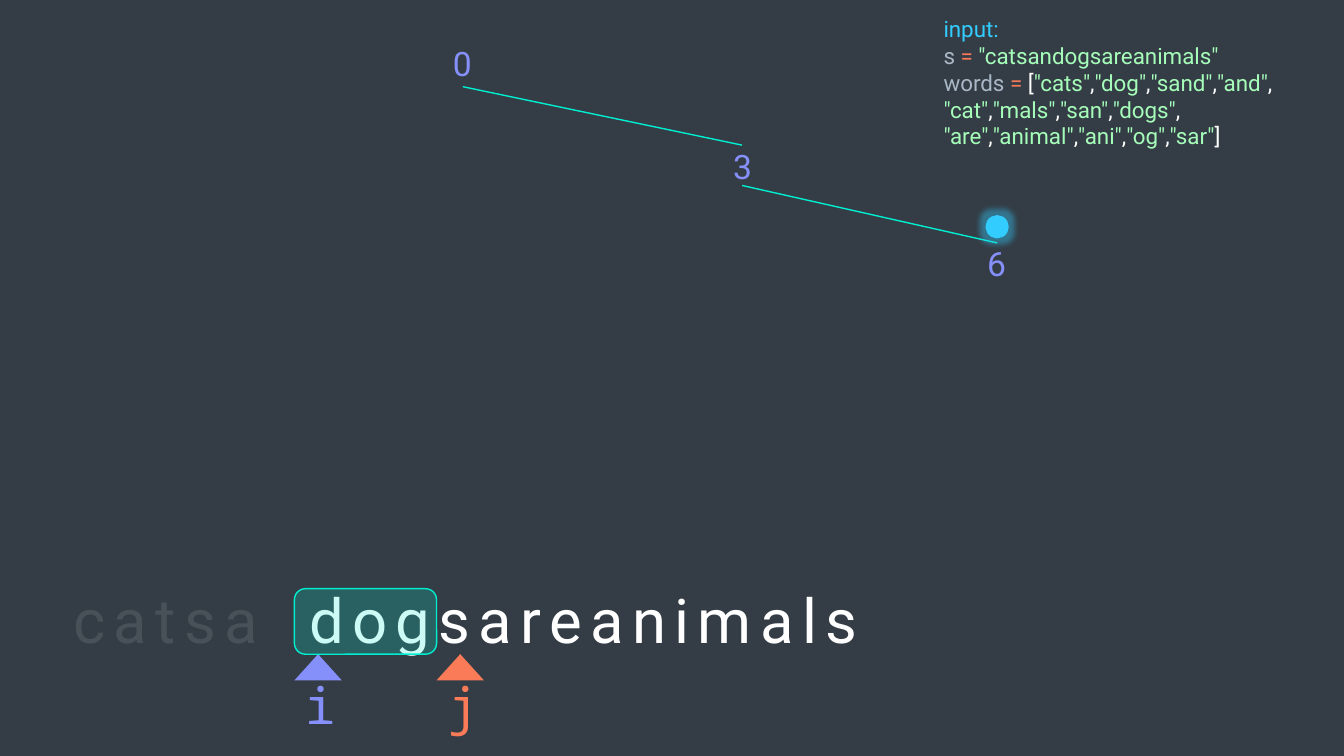
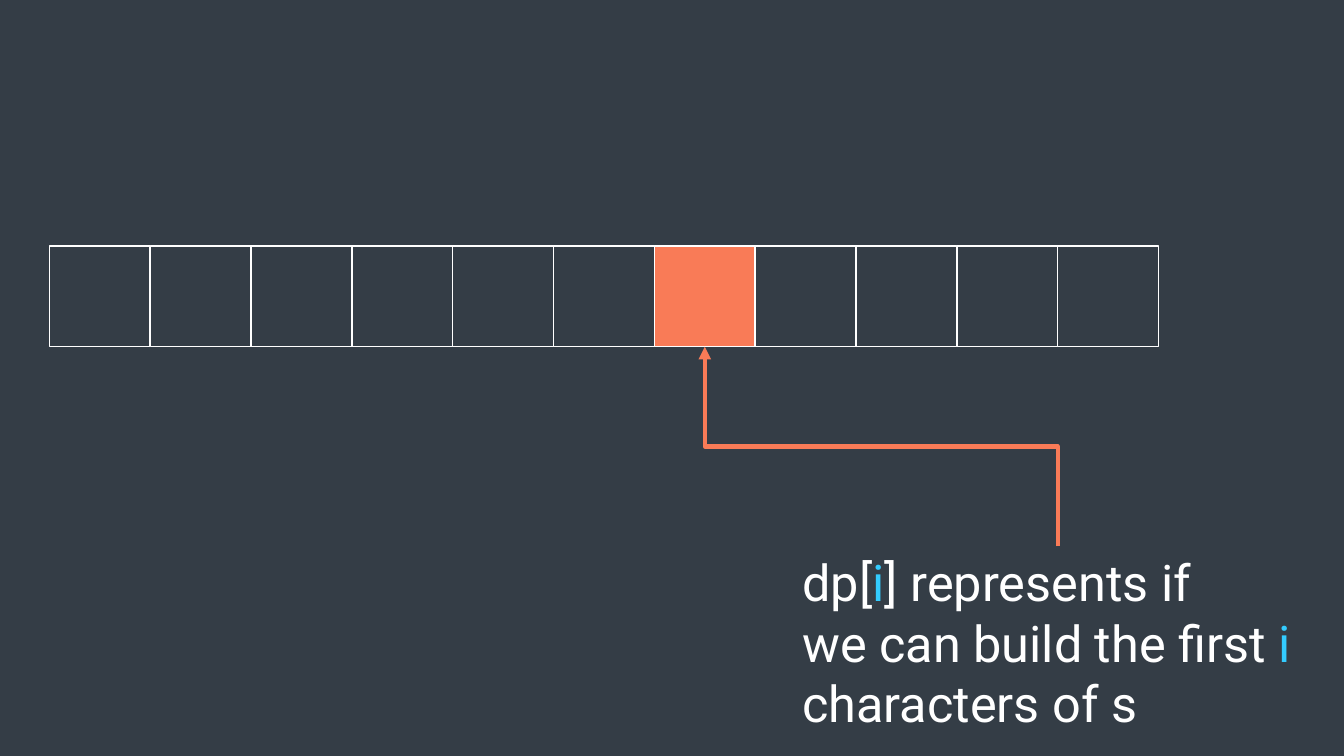
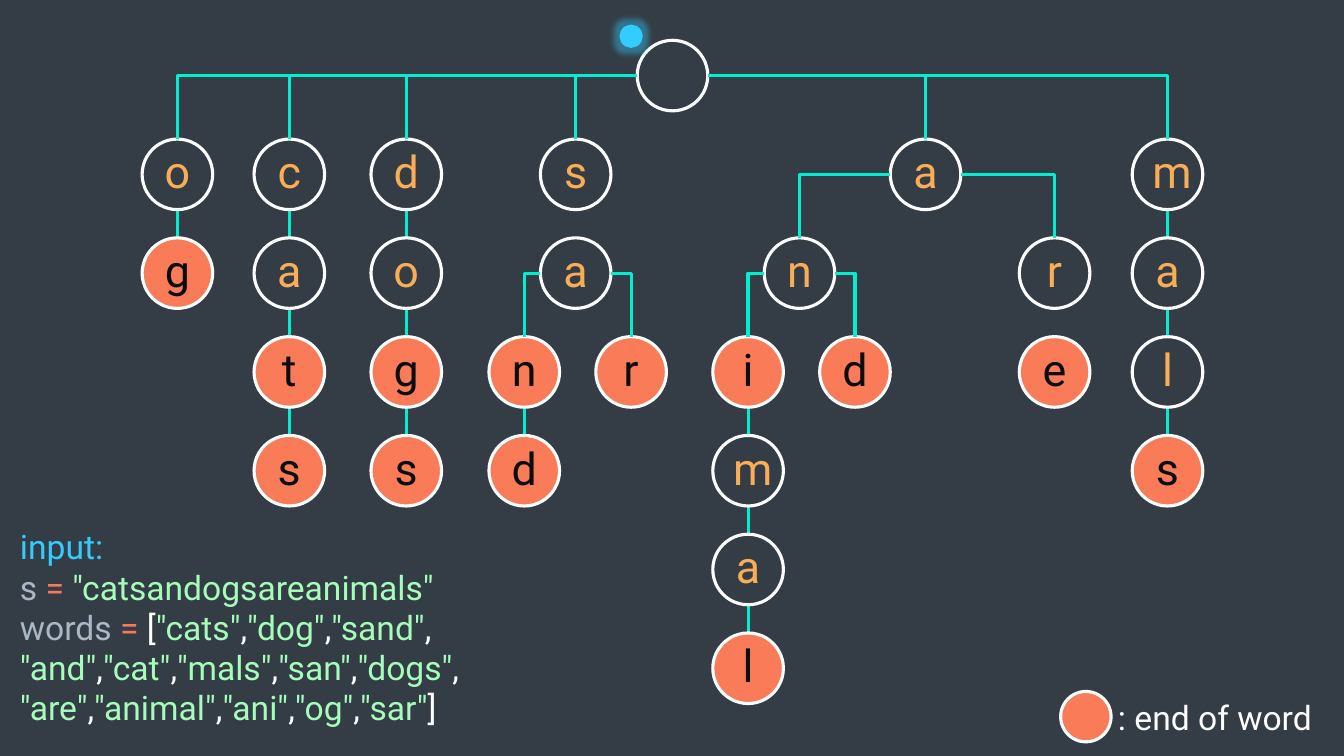
from lxml.etree import SubElement
from pptx import Presentation
from pptx.dml.color import RGBColor
from pptx.enum.shapes import MSO_CONNECTOR as Link, MSO_SHAPE as Form
from pptx.enum.text import MSO_ANCHOR as Anchor, MSO_AUTO_SIZE as Auto, PP_ALIGN as Align
from pptx.oxml.ns import qn
from pptx.util import Inches, Pt

DARK, WHITE, BLACK = "343D46", "FFFFFF", "0B0C0C"
TEAL, BLUE, VIOLET = "00EFD1", "33CCFF", "8690FA"
CORAL, RED, AMBER = "F97B57", "F97A57", "F9AD57"
GREY, MINT = "A9B7C6", "A5FDB9"
SANS, MONO = "Roboto", "Noto Sans Mono"
LEFT, RIGHT, TOP = 2, 6, 0  # connection sites of an ellipse
NODE, STEP, ROOT_Y = 0.7, 0.98, 0.4


def rgb(code):
    return RGBColor.from_string(code)


def fade(node, share):
    """Give the first colour inside an XML node an opacity in percent."""
    tone = next(node.iter(qn("a:srgbClr")))
    SubElement(tone, qn("a:alpha"), val=str(share * 1000))


def glue(line, tag, shape, site):
    """Tie one end of a connector to a site without moving it."""
    ends = next(line.element.iter(qn("p:cNvCxnSpPr")))
    SubElement(ends, qn("a:" + tag), id=str(shape.shape_id), idx=str(site))


def write(frame, lines, size=24, font=SANS, color=WHITE, align=None, gap=0,
          inset=None, anchor=None):
    """Fill a frame; a line is a string or a list of (text, colour[, opacity])."""
    frame.word_wrap = True
    if inset:
        (frame.margin_left, frame.margin_top,
         frame.margin_right, frame.margin_bottom) = map(Inches, inset)
    if anchor is not None:
        frame.vertical_anchor = anchor
    for n, line in enumerate(lines):
        para = frame.add_paragraph() if n else frame.paragraphs[0]
        para.alignment = align
        parts = [(line, color)] if isinstance(line, str) else line
        for words, tint, *share in parts:
            run = para.add_run()
            run.text = words
            run.font.size, run.font.name = Pt(size), font
            run.font.color.rgb = rgb(tint)
            props = run.font._element
            if gap:
                props.set("spc", str(gap * 100))
            if share:
                fade(props, share[0])


class Deck:
    def __init__(self):
        self.prs = Presentation()
        self.prs.slide_width, self.prs.slide_height = Inches(13.33), Inches(7.5)
        back = self.prs.slide_master.background.fill
        back.solid()
        back.fore_color.rgb = rgb(DARK)

    def page(self):
        self.shapes = self.prs.slides.add_slide(self.prs.slide_layouts[6]).shapes

    def text(self, x, y, w, h, lines, **style):
        box = self.shapes.add_textbox(*map(Inches, (x, y, w, h)))
        write(box.text_frame, lines, **style)
        box.text_frame.auto_size = Auto.SHAPE_TO_FIT_TEXT
        return box

    def shape(self, form, x, y, w, h, fill, edge=None, width=1):
        item = self.shapes.add_shape(form, *map(Inches, (x, y, w, h)))
        item.shadow.inherit = False
        item.fill.solid()
        item.fill.fore_color.rgb = rgb(fill)
        if edge:
            item.line.color.rgb = rgb(edge)
            item.line.width = Pt(width)
        else:
            item.line.fill.background()
        return item

    def line(self, x1, y1, x2, y2, color=TEAL, width=2.25, kind=Link.STRAIGHT):
        item = self.shapes.add_connector(kind, *map(Inches, (x1, y1, x2, y2)))
        item.line.color.rgb = rgb(color)
        item.line.width = Pt(width)
        SubElement(item.element.spPr, qn("a:effectLst"))
        return item

    def dot(self, x, y):
        """Draw the small glowing marker."""
        item = self.shape(Form.OVAL, x, y, 0.2, 0.2, BLUE, BLUE, 2.25)
        glow = SubElement(item.element.spPr.find(qn("a:effectLst")),
                          qn("a:glow"), rad=str(Pt(8)))
        SubElement(glow, qn("a:srgbClr"), val=BLUE)
        fade(glow, 40)

    def ring(self, x, y, size=NODE, fill=DARK):
        return self.shape(Form.OVAL, x, y, size, size, fill, WHITE, 2.25)

    def node(self, x, row, mark):
        """Draw a letter of the tree; a capital stands for the end of a word."""
        last = mark.isupper()
        item = self.ring(x - NODE / 2, ROOT_Y + STEP * row, fill=CORAL if last else DARK)
        write(item.text_frame, [mark.lower()], size=32, color=BLACK if last else AMBER,
              align=Align.CENTER, anchor=Anchor.MIDDLE, inset=(0.1, 0.05, 0.1, 0.12))
        return item

    def branch(self, above, below):
        """Run an elbow from the side of one node to the top of another."""
        mid = below.left + below.width // 2
        left = mid < above.left
        start = above.left if left else above.left + above.width
        points = start, above.top + above.height // 2, mid, below.top
        item = self.line(*(p / Inches(1) for p in points), kind=Link.ELBOW)
        item.element.spPr.find(qn("a:prstGeom")).set("prst", "bentConnector2")
        glue(item, "stCxn", above, LEFT if left else RIGHT)
        glue(item, "endCxn", below, TOP)

    def index(self, x, name, color):
        """Draw a pointer with its name under the string."""
        tip = self.shape(Form.ISOSCELES_TRIANGLE, x, 6.49, 0.47, 0.26, color)
        label = self.text(x + 0.1, 6.69, 0.33, 0.61, [name], size=36, font=MONO, color=color,
                          align=Align.CENTER, gap=6, inset=(0, 0, 0, 0))
        self.shapes.add_group_shape([tip, label])

    def input(self, x, y, w, h, rows, size):
        """List the input; rows holds the words of each line."""
        lines = [[("input:", BLUE)],
                 [("s ", GREY), ("= ", RED), ('"catsandogsareanimals"', MINT)]]
        for row in rows:
            line = []
            for word in row.split():
                line += [(f'"{word}"', MINT), (",", WHITE)]
            lines.append(line)
        lines[2][:0] = [("words ", GREY), ("= ", RED), ("[", WHITE)]
        lines[-1][-1] = ("]", WHITE)
        self.text(x, y, w, h, lines, size=size)


def search(deck):
    deck.page()
    deck.input(9.26, 0.1, 4.04, 1.45, ["cats dog sand and", "cat mals san dogs",
                                       "are animal ani og sar"], 16)
    deck.line(4.59, 0.86, 7.36, 1.44, width=1)
    deck.line(7.36, 1.84, 9.89, 2.41, width=1)
    for x, y, w, mark in ((3.83, 0.38, 1.51, "0"), (6.61, 1.4, 1.51, "3"),
                          (9.52, 2.36, 0.73, "6")):
        deck.text(x, y, w, 0.5, [mark], color=VIOLET, align=Align.CENTER)
    deck.text(0.22, 5.72, 8.8, 0.84, [[("catsan", WHITE, 10), ("dogsareanimals", WHITE)]],
              size=44, align=Align.CENTER, gap=6)
    deck.index(2.92, "i", VIOLET)
    deck.dot(9.79, 2.15)
    deck.index(4.33, "j", CORAL)
    frame = deck.shape(Form.ROUNDED_RECTANGLE, 2.92, 5.84, 1.41, 0.65, TEAL, TEAL)
    fade(frame.element.spPr, 20)


def table(deck):
    deck.page()
    cells = [deck.shape(Form.RECTANGLE, 0.49 + n, 2.44, 1, 1, CORAL if n == 6 else DARK, WHITE)
             for n in range(11)]
    note = deck.text(7.86, 5.42, 5.25, 1.92, [
        [("dp[", WHITE), ("i", BLUE), ("] represents if", WHITE)],
        [("we can build the first ", WHITE), ("i", BLUE), (" characters of s", WHITE)],
    ], size=36)
    # The elbow is turned so that it leaves and arrives vertically
    arrow = deck.line(7.75, 2.68, 9.73, 6.18, CORAL, 3, Link.ELBOW)
    turn = arrow.element.spPr.find(qn("a:xfrm"))
    turn.set("rot", str(270 * 60000))
    turn.set("flipV", "1")
    SubElement(arrow.element.spPr.find(qn("a:ln")), qn("a:tailEnd"), type="triangle")
    glue(arrow, "stCxn", note, 0)
    glue(arrow, "endCxn", cells[6], 2)


def trie(deck):
    deck.page()
    tips = {"": deck.ring(6.32, ROOT_Y)}
    # prefix, centre, first row, letters, joined by a trunk
    chains = [
        ("", 1.76, 1, "oG", True), ("", 2.87, 1, "caTS", True),
        ("", 4.03, 1, "doGS", True), ("", 5.71, 1, "sa", False),
        ("", 9.18, 1, "a", False), ("", 11.58, 1, "malS", True),
        ("sa", 5.2, 3, "ND", True), ("sa", 6.26, 3, "R", False),
        ("a", 7.93, 2, "n", False), ("a", 10.46, 2, "rE", False),
        ("an", 7.42, 3, "ImaL", True), ("an", 8.48, 3, "D", False),
    ]
    for prefix, x, row, marks, trunk in chains:
        if trunk:
            top = ROOT_Y + STEP * row
            deck.line(x, top + NODE, x, top + STEP * (len(marks) - 1))
        nodes = [deck.node(x, row + n, mark) for n, mark in enumerate(marks)]
        deck.branch(tips[prefix], nodes[0])
        tips[prefix + marks.lower()] = nodes[-1]
    deck.ring(10.52, 6.86, 0.5, CORAL)
    deck.text(10.99, 6.86, 2.34, 0.5, [": end of word"])
    deck.input(0.1, 5.17, 5.96, 2.12, ["cats dog sand", "and cat mals san dogs",
                                       "are animal ani og sar"], 24)
    deck.dot(6.16, 0.26)


def main():
    deck = Deck()
    for build in (search, table, trie):
        build(deck)
    deck.prs.save("out.pptx")


if __name__ == "__main__":
    main()
